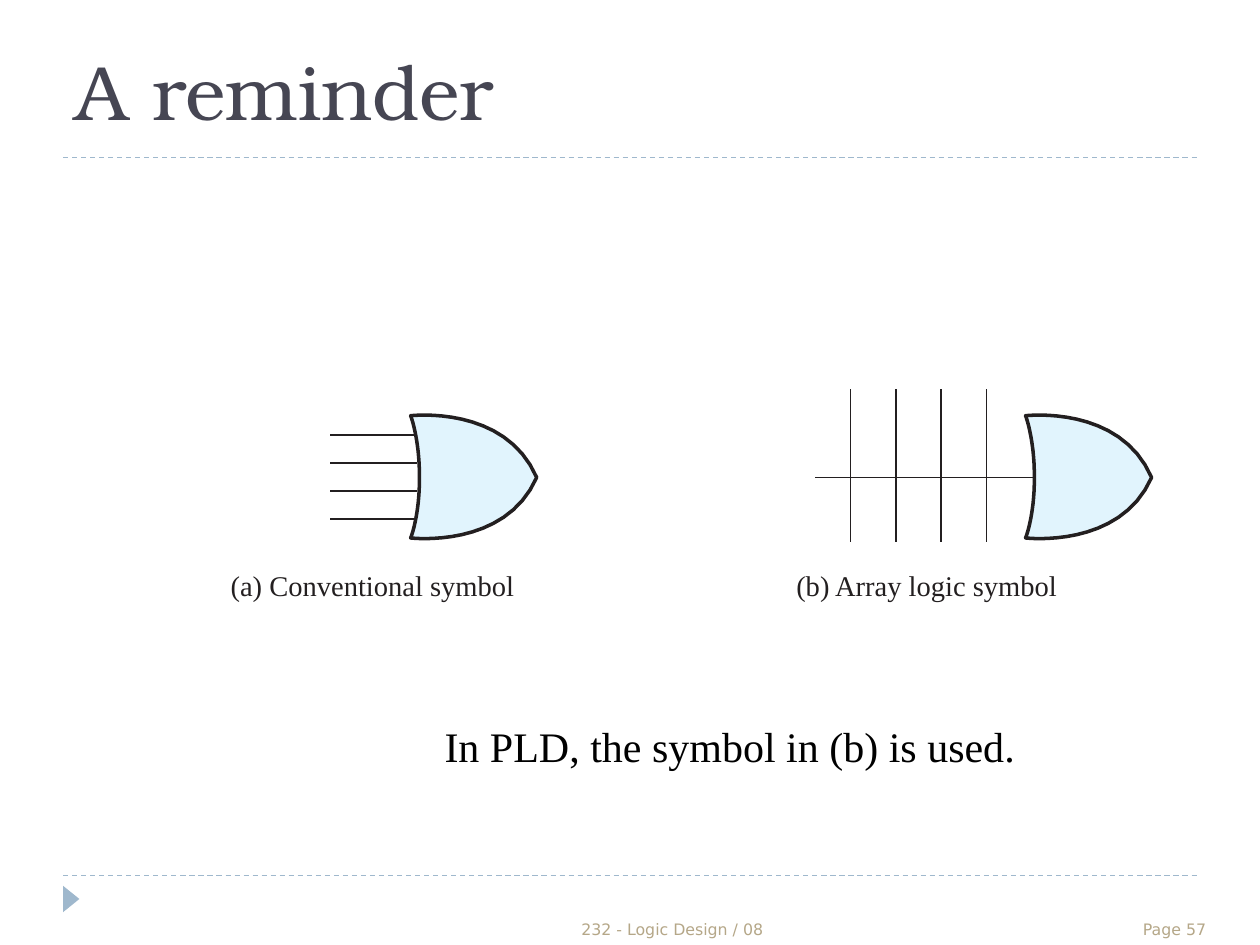
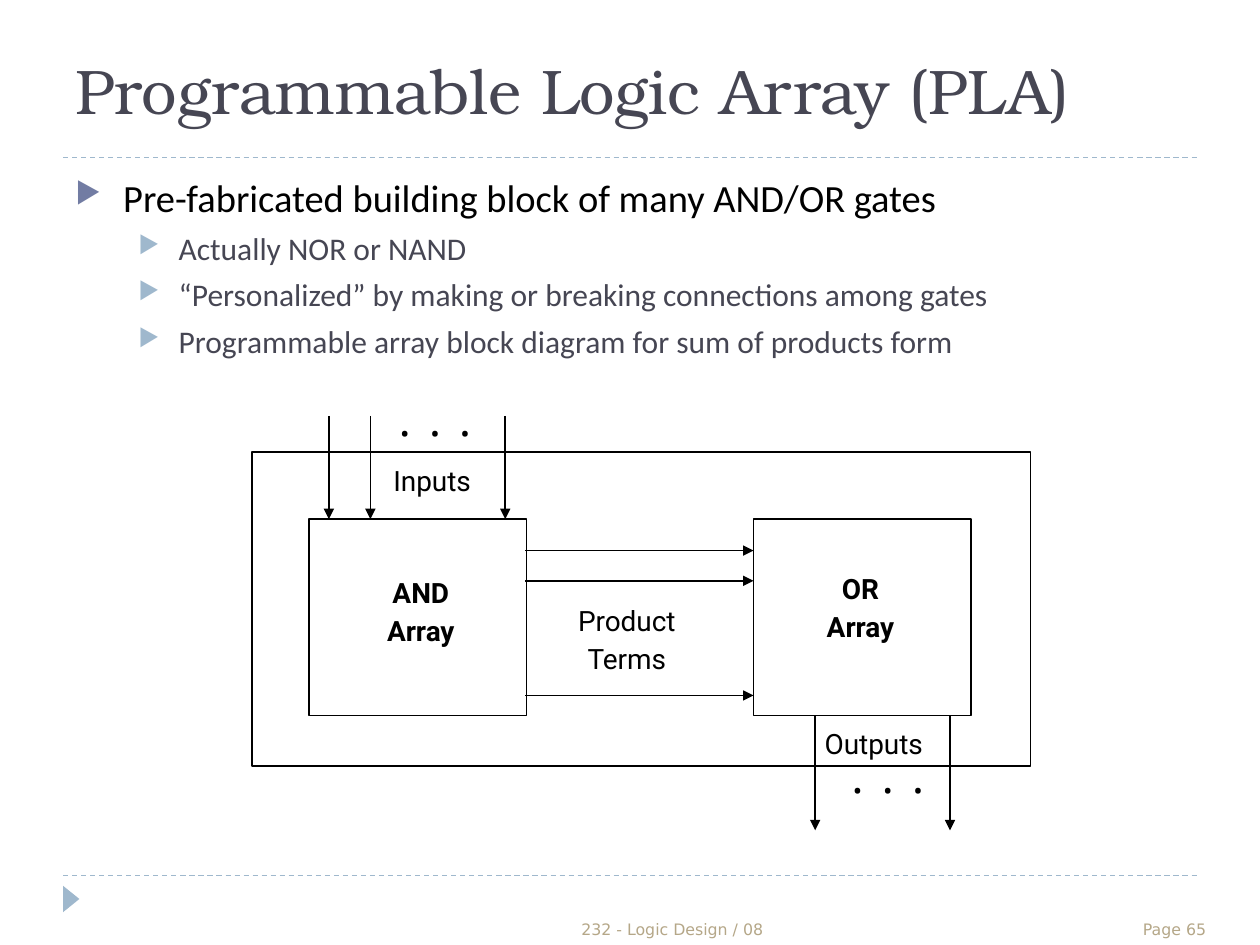
"""Build two logic design slides: a gate symbol reminder and the PLA block diagram."""
import pptx
import pptx.dml.color
import pptx.enum.dml
import pptx.enum.shapes
import pptx.enum.text
import pptx.oxml
import pptx.oxml.ns
import pptx.util

Inches = pptx.util.Inches
Pt = pptx.util.Pt
RGBColor = pptx.dml.color.RGBColor
SHAPE = pptx.enum.shapes.MSO_SHAPE
ALIGN = pptx.enum.text.PP_ALIGN
ANCHOR = pptx.enum.text.MSO_ANCHOR

BLACK = RGBColor(0x00, 0x00, 0x00)
INK = RGBColor(0x23, 0x1F, 0x20)
SLATE = RGBColor(0x46, 0x46, 0x53)
SKY = RGBColor(0x9F, 0xB8, 0xCD)
INDIGO = RGBColor(0x72, 0x7C, 0xA3)
SAND = RGBColor(0xB5, 0xA7, 0x88)
GATE_FILL = RGBColor(0xE1, 0xF4, 0xFD)

TITLE_FONT = "TeX Gyre Bonum"
FOOTER_FONT = "DejaVu Sans"
BODY_FONT = "Calibri"
SERIF = "Times New Roman"
LABEL_FONT = "Roboto"

DOT_GAP = 0.24
DOTS_WIDTH = 0.56


def add_xml(parent, tag, **attributes):
    child = pptx.oxml.parse_xml(f"<a:{tag} {pptx.oxml.ns.nsdecls('a')}/>")
    for name, value in attributes.items():
        child.set(name, str(value))
    parent.append(child)
    return child


def bezier(p0, p1, p2, p3, steps=16):
    points = []
    for i in range(1, steps + 1):
        t = i / steps
        weights = ((1 - t) ** 3, 3 * t * (1 - t) ** 2, 3 * t * t * (1 - t), t ** 3)
        points.append(tuple(Inches(sum(w * p[axis] for w, p in zip(weights, (p0, p1, p2, p3))))
                            for axis in (0, 1)))
    return points


class Deck:
    def __init__(self):
        self.prs = pptx.Presentation()
        self.prs.slide_width, self.prs.slide_height = Inches(10), Inches(7.5)
        self.s = None

    def slide(self, title, title_size, page):
        self.s = self.prs.slides.add_slide(self.prs.slide_layouts[6])
        for y in (6.95, 1.25):
            rule = self.line(0.5, y, 9.5, y, SKY, 0.75)
            rule.line.dash_style = pptx.enum.dml.MSO_LINE.DASH
        marker = self.shape(SHAPE.ISOSCELES_TRIANGLE, 0.46, 7.07, 0.21, 0.13, fill=SKY)
        marker.rotation = 90
        self.text(title, 0.5, 0.17, 9, 1.08, TITLE_FONT, title_size, SLATE, anchor=ANCHOR.MIDDLE)
        for text, x, w, align in (("232 - Logic Design / 08", 2.75, 5.17, ALIGN.CENTER),
                                  (f"Page {page}", 8.75, 0.92, ALIGN.RIGHT)):
            self.text(text, x, 7.25, w, 0.25, FOOTER_FONT, 9, SAND, align, ANCHOR.BOTTOM)

    def paint(self, sp, fill=None, line=None, width=1):
        sp.shadow.inherit = False
        if fill is None:
            sp.fill.background()
        else:
            sp.fill.solid()
            sp.fill.fore_color.rgb = fill
        if line is None:
            sp.line.fill.background()
        else:
            sp.line.color.rgb = line
            sp.line.width = Pt(width)
        return sp

    def shape(self, kind, x, y, w, h, fill=None, line=None):
        sp = self.s.shapes.add_shape(kind, Inches(x), Inches(y), Inches(w), Inches(h))
        return self.paint(sp, fill, line)

    def line(self, x1, y1, x2, y2, color=BLACK, width=1.0, arrow=False):
        sp = self.s.shapes.add_connector(pptx.enum.shapes.MSO_CONNECTOR.STRAIGHT,
                                         Inches(x1), Inches(y1), Inches(x2), Inches(y2))
        sp.line.color.rgb = color
        sp.line.width = Pt(width)
        if arrow:
            add_xml(sp.line._get_or_add_ln(), "tailEnd", type="triangle")
        add_xml(sp._element.spPr, "effectLst")
        return sp

    def box(self, x, y, w, h, insets=(0.1, 0.05, 0.1, 0.05), anchor=ANCHOR.TOP, wrap=True):
        tf = self.s.shapes.add_textbox(Inches(x), Inches(y), Inches(w), Inches(h)).text_frame
        tf.word_wrap = wrap
        tf.vertical_anchor = anchor
        tf.margin_left, tf.margin_top, tf.margin_right, tf.margin_bottom = map(Inches, insets)
        return tf

    def runs(self, p, text, font, size, color, bold=False):
        for i, part in enumerate(text.split("\n")):
            if i:
                p.add_line_break()
            r = p.add_run()
            r.text = part
            r.font.name, r.font.size, r.font.bold = font, Pt(size), bold
            r.font.color.rgb = color

    def text(self, text, x, y, w, h, font, size, color, align=ALIGN.LEFT, anchor=ANCHOR.TOP,
             bold=False, spacing=None, **frame):
        p = self.box(x, y, w, h, anchor=anchor, **frame).paragraphs[0]
        p.alignment = align
        if spacing:
            p.line_spacing = Pt(spacing)
        self.runs(p, text, font, size, color, bold)
        return p

    def label(self, text, x, y, w, h, bold=False):
        self.text(text, x, y, w, h, LABEL_FONT, 16, BLACK, ALIGN.CENTER, bold=bold,
                  spacing=21.8, insets=(0.02, 0.03, 0.02, 0.03))

    def dots(self, x, y, w, h):
        side = (w - DOTS_WIDTH) / 2
        p = self.text("•\t•\t•", x, y, w, h, LABEL_FONT, 16, BLACK, spacing=20.8,
                      insets=(side, 0.03, 0.02, 0.03))
        tabs = add_xml(p._p.get_or_add_pPr(), "tabLst")
        for i in (1, 2):
            add_xml(tabs, "tab", pos=Inches(DOT_GAP * i), algn="l")

    def bullets(self, items, x, y, w, h):
        levels = ((0.38, 0.38, 6, INDIGO, 22, BLACK), (0.82, 0.32, 5, SKY, 18, SLATE))
        tf = self.box(x, y, w, h)
        for i, (level, text) in enumerate(items):
            margin, hang, before, bullet_color, size, color = levels[level]
            p = tf.add_paragraph() if i else tf.paragraphs[0]
            p.level = level
            if i:
                p.space_before = Pt(before)
            pPr = p._p.get_or_add_pPr()
            pPr.set("marL", str(Inches(margin)))
            pPr.set("indent", str(-Inches(hang)))
            add_xml(add_xml(pPr, "buClr"), "srgbClr", val=bullet_color)
            add_xml(pPr, "buSzPct", val=76000)
            add_xml(pPr, "buChar", char="▶")
            self.runs(p, text, BODY_FONT, size, color)

    def or_gate(self, x):
        tip, bottom, back, top = (x + 1, 3.79), (x, 4.27), (x + 0.07, 3.79), (x, 3.3)
        points = (bezier(tip, (x + 0.75, 4.36), bottom, bottom)
                  + bezier(bottom, bottom, (x + 0.07, 4.1), back)
                  + bezier(back, (x + 0.07, 3.48), top, top)
                  + bezier(top, top, (x + 0.75, 3.21), tip))
        builder = self.s.shapes.build_freeform(*map(Inches, tip))
        builder.add_line_segments(points, close=True)
        self.paint(builder.convert_to_shape(), GATE_FILL, INK, 2)


def reminder_slide(deck):
    deck.slide("A reminder", 44, 57)
    for i in range(4):
        input_y = 3.45 + 0.224 * i
        deck.line(2.62, input_y, 3.31, input_y, INK)
    deck.line(6.47, 3.79, 8.2, 3.79, INK)
    for i in range(4):
        input_x = 6.75 + 0.36 * i
        deck.line(input_x, 3.09, input_x, 4.3, INK)
    for gate_x in (3.26, 8.14):
        deck.or_gate(gate_x)
    for caption, x, w in (("(a) Conventional symbol", 1.83, 3.19),
                          ("(b) Array logic symbol", 6.32, 2.94)):
        deck.text(caption, x, 4.57, w, 0.27, SERIF, 16.3, INK, spacing=15, insets=(0, 0, 0, 0.05))
    deck.text("In PLD, the symbol in (b) is used.", 3.43, 5.67, 4.86, 0.5, SERIF, 24, BLACK,
              wrap=False)


def pla_slide(deck):
    deck.slide("Programmable Logic Array (PLA)", 36, 65)
    deck.bullets(((0, "Pre-fabricated building block of many AND/OR gates"),
                  (1, "Actually NOR or NAND"),
                  (1, "“Personalized” by making or breaking connections among gates"),
                  (1, "Programmable array block diagram for sum of products form")),
                 0.5, 1.33, 9, 1.67)
    deck.shape(SHAPE.RECTANGLE, 2, 3.59, 6.18, 2.49, line=BLACK)
    for array_x in (2.45, 5.98):
        deck.shape(SHAPE.RECTANGLE, array_x, 4.12, 1.73, 1.56, line=BLACK)
    deck.label("AND\nArray", 2.75, 4.5, 1.18, 1.01, bold=True)
    deck.label("OR\nArray", 5.83, 4.47, 2, 1.01, bold=True)
    deck.label("Inputs", 2.93, 3.61, 1, 0.71)
    deck.label("Product\nTerms", 4.19, 4.72, 1.57, 1.01)
    deck.label("Outputs", 6.3, 5.7, 1.27, 0.71)
    deck.dots(2.98, 3.25, 0.95, 0.43)
    deck.dots(6.46, 6.09, 1.18, 0.43)
    for x in (2.61, 2.94, 4.01):
        deck.line(x, 3.3, x, 4.12, arrow=True)
    for y in (4.37, 4.61, 5.52):
        deck.line(4.17, y, 5.98, y, arrow=True)
    for x in (6.47, 7.54):
        deck.line(x, 5.68, x, 6.59, arrow=True)


def main():
    deck = Deck()
    reminder_slide(deck)
    pla_slide(deck)
    deck.prs.save("out.pptx")


if __name__ == "__main__":
    main()
